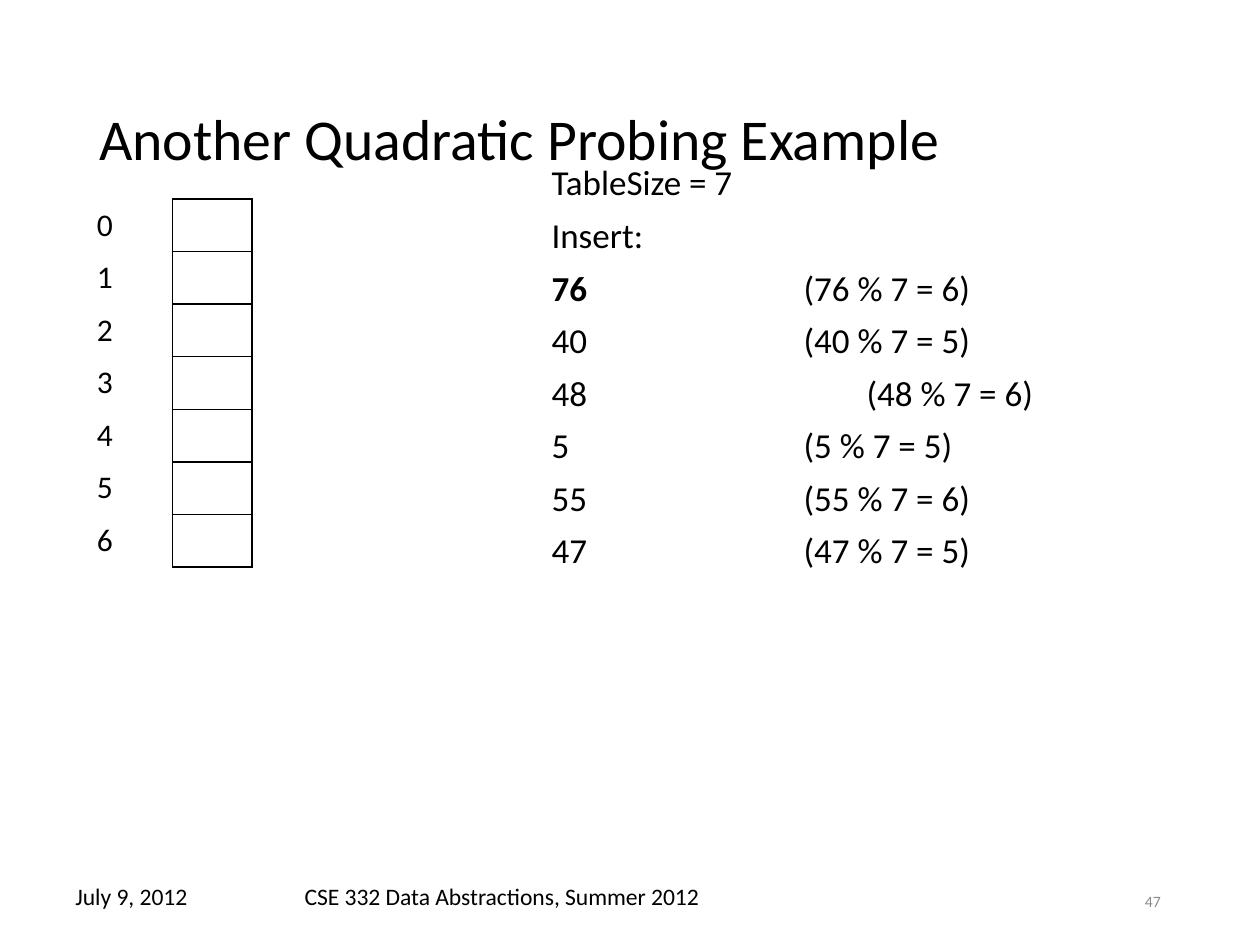
from lxml.etree import SubElement
from pptx import Presentation
from pptx.dml.color import RGBColor
from pptx.enum.text import MSO_ANCHOR, PP_ALIGN
from pptx.oxml.ns import qn
from pptx.util import Cm, Pt

BLACK, GRAY = "000000", "8C8C8C"
SLOT_COUNT = 7
INSERTIONS = [76, 40, 48, 5, 55, 47]
TAB, WIDE_TAB = 5.08, 6.35


def color(value):
    return RGBColor.from_string(value)


def set_format(target, values):
    for name, value in values.items():
        setattr(target, name, value)


def write_run(paragraph, text, size, hex_color=BLACK, bold=False):
    run = paragraph.add_run()
    run.text = text
    set_format(run.font, {"name": "Calibri", "size": Pt(size), "bold": bold})
    run.font.color.rgb = color(hex_color)


def add_box(slide, box, anchor=MSO_ANCHOR.TOP):
    shape = slide.shapes.add_textbox(*map(Cm, box))
    set_format(shape.text_frame, {"word_wrap": True, "vertical_anchor": anchor})
    return shape.text_frame


def add_title(slide, box):
    paragraph = add_box(slide, box, MSO_ANCHOR.MIDDLE).paragraphs[0]
    paragraph.line_spacing = 0.9
    write_run(paragraph, "Another Quadratic Probing Example", 33)


def add_footer(slide, box):
    left, top, width, height = box
    for text, offset, part in [
        ("July 9, 2012", 0, 4.45),
        ("CSE 332 Data Abstractions, Summer 2012", 4.62, 13.59),
    ]:
        frame = add_box(slide, (left + offset, top, part, height))
        write_run(frame.paragraphs[0], text, 13.5)
    number_width = 5.72
    number_box = (left + width - number_width, top, number_width, height)
    paragraph = add_box(slide, number_box, MSO_ANCHOR.MIDDLE).paragraphs[0]
    paragraph.alignment = PP_ALIGN.RIGHT
    write_run(paragraph, "47", 9, GRAY)


def set_borders(cell, visible_sides):
    properties = cell._tc.get_or_add_tcPr()
    for index, side in enumerate("LRTB"):
        line = properties.makeelement(qn(f"a:ln{side}"), {"w": str(Pt(1))})
        if side in visible_sides:
            fill = SubElement(line, qn("a:solidFill"))
            SubElement(fill, qn("a:srgbClr"), val=BLACK)
        else:
            SubElement(line, qn("a:noFill"))
        properties.insert(index, line)


def add_hash_table(slide, box):
    left, top, width, height = box
    frame = slide.shapes.add_table(SLOT_COUNT, 2, *map(Cm, box))
    table = frame.table
    set_format(table, {"first_row": False, "horz_banding": False})
    label_width = 1.78
    table.columns[0].width = Cm(label_width)
    table.columns[1].width = Cm(width - label_width)
    for index, row in enumerate(table.rows):
        row.height = Cm(height / SLOT_COUNT)
        for cell, sides in zip(row.cells, ("R", "LRTB")):
            cell.vertical_anchor = MSO_ANCHOR.MIDDLE
            cell.fill.background()
            set_borders(cell, sides)
        write_run(row.cells[0].text_frame.paragraphs[0], str(index), 18)


def add_tab_stop(paragraph, position):
    tabs = SubElement(paragraph._p.get_or_add_pPr(), qn("a:tabLst"))
    SubElement(tabs, qn("a:tab"), pos=str(Cm(position)), algn="l")


def add_insertions(slide, box):
    frame = add_box(slide, box)
    heading = frame.paragraphs[0]
    write_run(heading, f"TableSize = {SLOT_COUNT}", 20)
    write_run(frame.add_paragraph(), "Insert:", 20)
    for key in INSERTIONS:
        paragraph = frame.add_paragraph()
        add_tab_stop(paragraph, WIDE_TAB if key == 48 else TAB)
        write_run(paragraph, str(key), 20, bold=key == INSERTIONS[0])
        write_run(paragraph, f"\t({key} % {SLOT_COUNT} = {key % SLOT_COUNT})", 20)
    for paragraph in frame.paragraphs[1:]:
        paragraph.space_before = Pt(6)


def main():
    presentation = Presentation()
    set_format(presentation, {"slide_width": Cm(25.4), "slide_height": Cm(19.05)})
    slide = presentation.slides.add_slide(presentation.slide_layouts[6])
    add_title(slide, (1.75, 1.02, 21.9, 3.68))
    add_footer(slide, (1.27, 17.65, 22.38, 1.02))
    add_hash_table(slide, (1.7, 4.01, 3.38, 7.42))
    add_insertions(slide, (10.87, 3.12, 12.24, 11.79))
    presentation.save("out.pptx")


if __name__ == "__main__":
    main()
